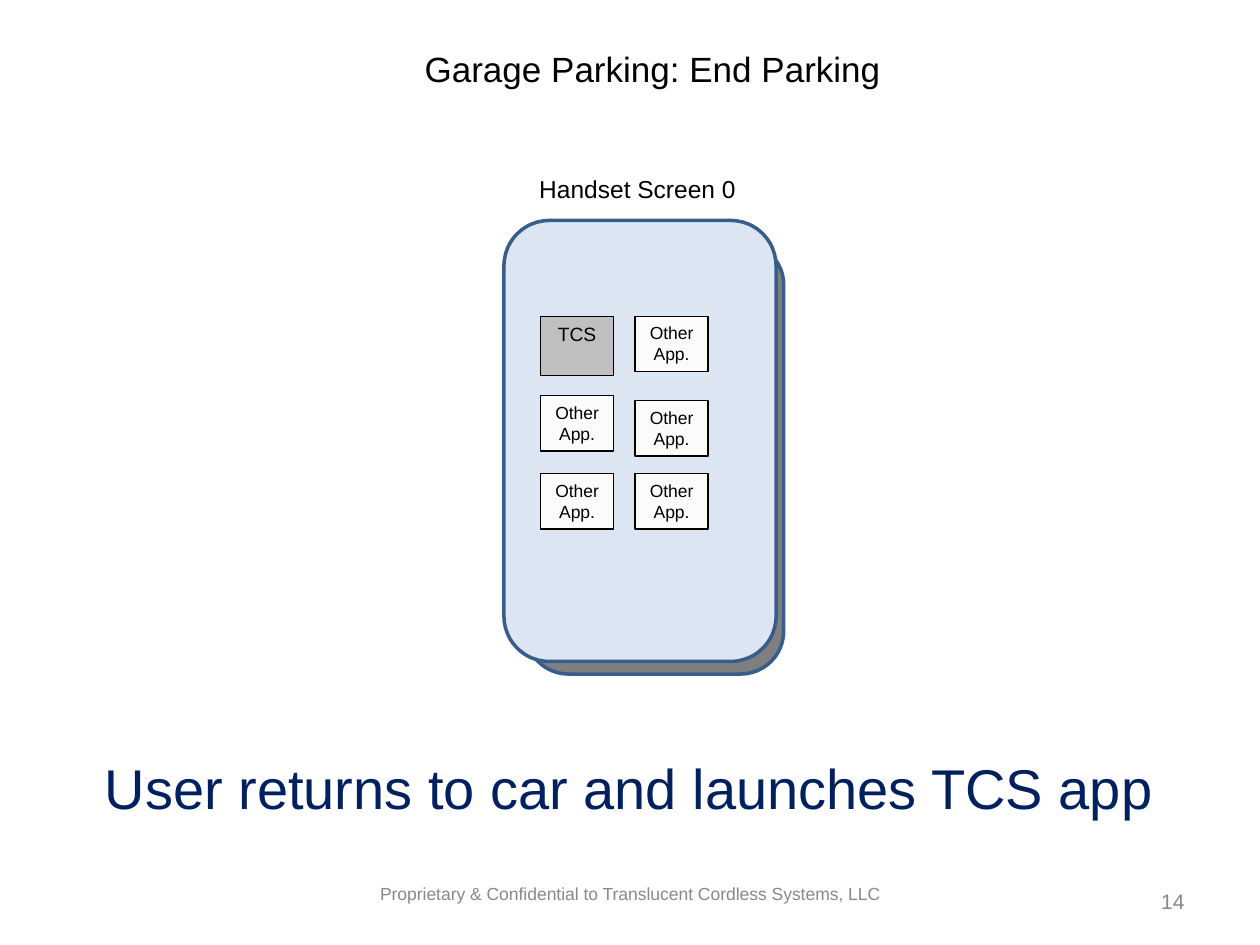
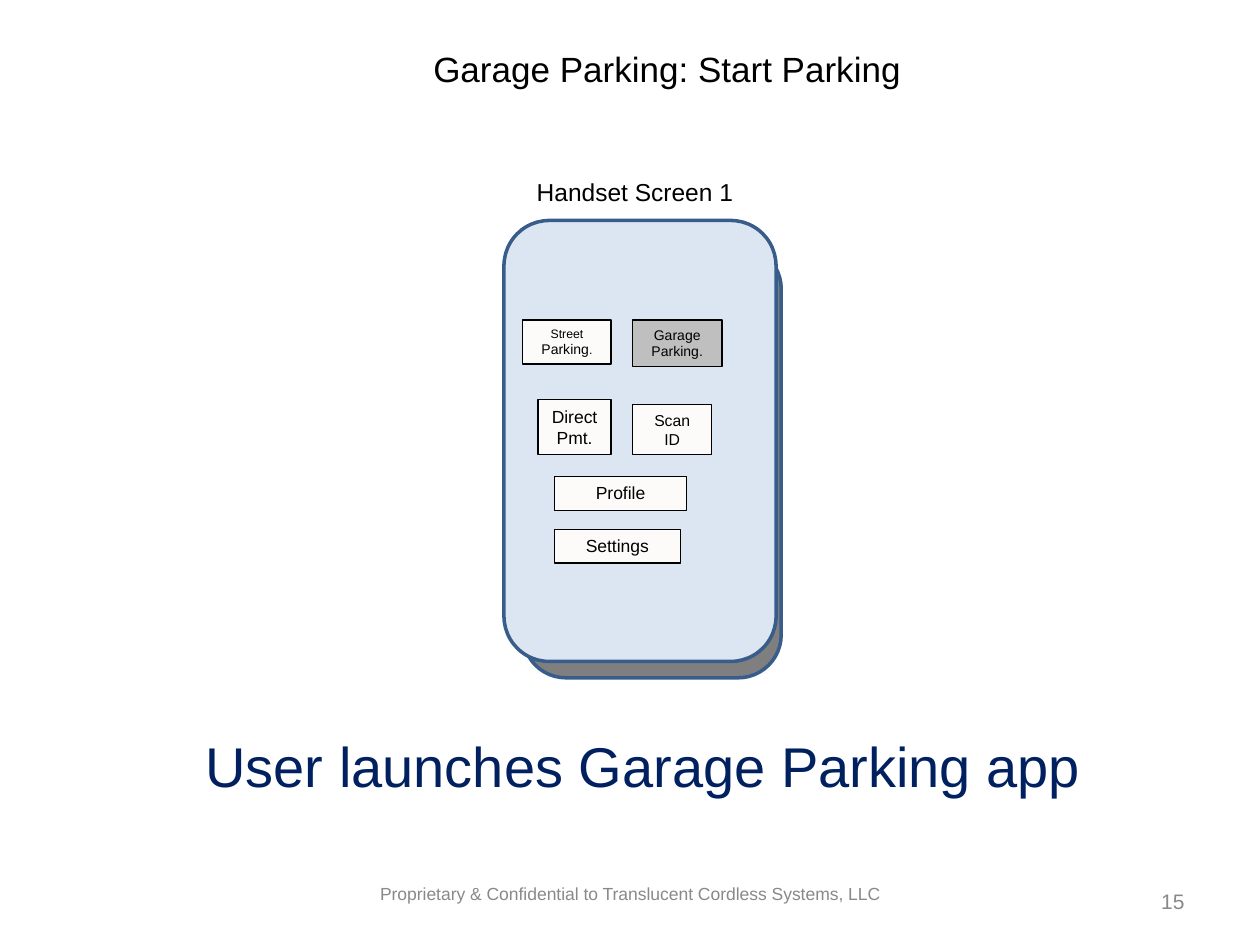
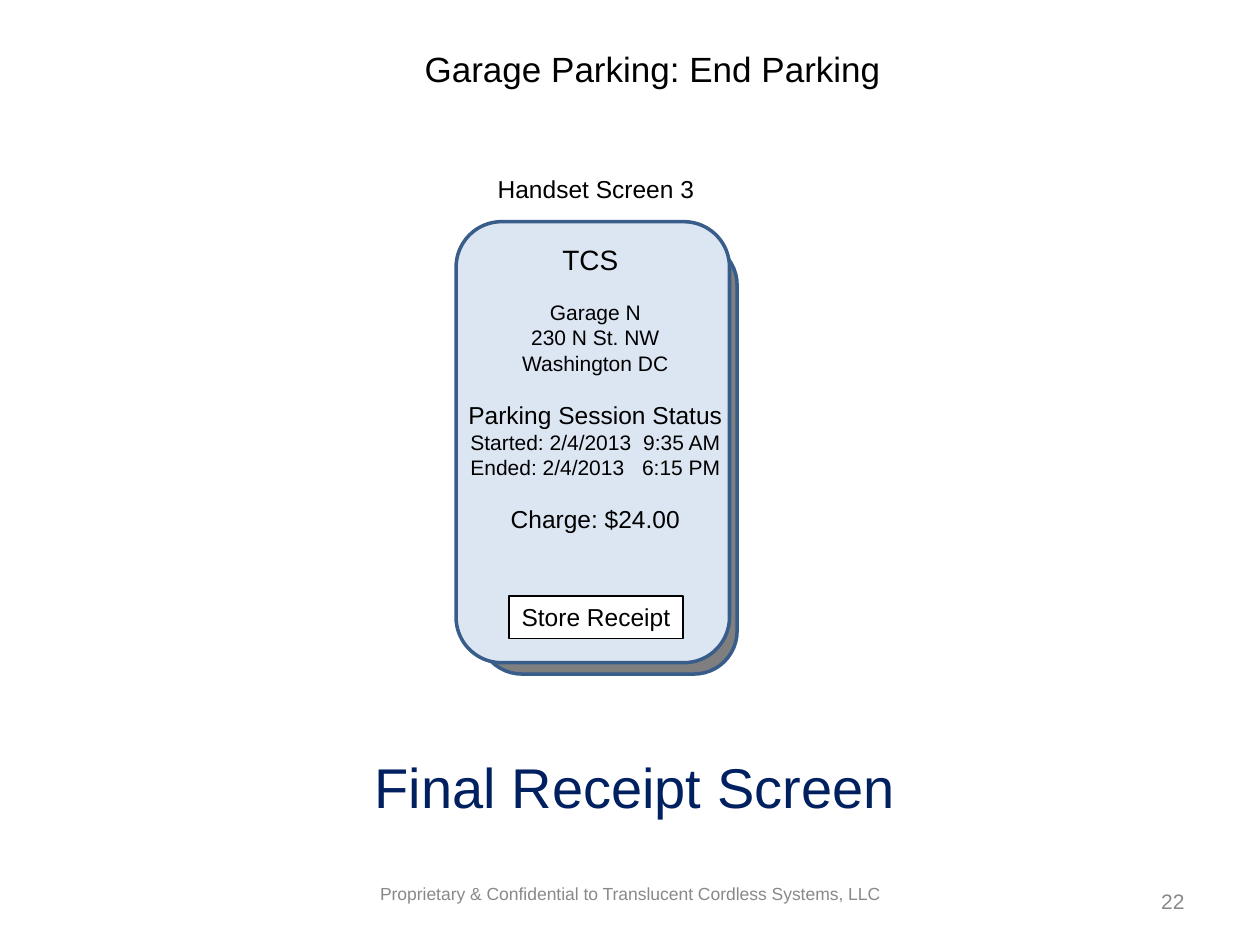
from dataclasses import dataclass

from pptx import Presentation
from pptx.dml.color import RGBColor
from pptx.enum.shapes import MSO_SHAPE as Preset
from pptx.enum.text import MSO_ANCHOR as Anchor, PP_ALIGN as Align
from pptx.util import Emu, Inches, Pt

# Shared look; the slide is a grid of 100 columns and 75 square rows
COLUMNS, ROWS = 100, 75
CELL = Inches(10) // COLUMNS
FONT = "Arial"
BLACK, WHITE, GRAY, NAVY = "000000", "FFFFFF", "898989", "002060"
FACE, BACK, OUTLINE = "DCE6F2", "7F7F7F", "385D8A"
BUTTON, SELECTED = "FCFBF9", "BFBFBF"
FOOTER = "Proprietary & Confidential to Translucent Cordless Systems, LLC"


@dataclass
class Box:
    left: float
    top: float
    width: float
    height: float

    def inner(self, left, top, width, height):
        """A box whose corner is measured from the corner of this one."""
        return Box(self.left + left, self.top + top, width, height)

    def lengths(self):
        return [Emu(round(n * CELL)) for n in (self.left, self.top, self.width, self.height)]


def color(value):
    return RGBColor.from_string(value)


def add_run(paragraph, text, size, ink=BLACK):
    run = paragraph.add_run()
    run.text = text
    run.font.name = FONT
    run.font.size = Pt(size)
    run.font.color.rgb = color(ink)
    return run


def add_wide_space(paragraph, size, extra):
    """One space, widened by extra points of character spacing."""
    run = add_run(paragraph, " ", size)
    run._r.get_or_add_rPr().set("spc", str(round(extra * 100)))


def set_text(shape, runs, ink=BLACK, align=Align.CENTER, anchor=Anchor.TOP, wrap=False):
    frame = shape.text_frame
    frame.word_wrap = wrap
    frame.vertical_anchor = anchor
    paragraph = frame.paragraphs[0]
    paragraph.alignment = align
    for text, size in runs:
        add_run(paragraph, text, size, ink)


def add_text(slide, box, text, size, **style):
    shape = slide.shapes.add_textbox(*box.lengths())
    set_text(shape, [(text, size)], **style)


def add_panel(slide, preset, box, fill, line, weight):
    shape = slide.shapes.add_shape(preset, *box.lengths())
    shape.shadow.inherit = False
    shape.fill.solid()
    shape.fill.fore_color.rgb = color(fill)
    shape.line.color.rgb = color(line)
    shape.line.width = Pt(weight)
    return shape


def add_button(slide, box, runs, fill=BUTTON, wrap=True):
    shape = add_panel(slide, Preset.RECTANGLE, box, fill, BLACK, 0.75)
    set_text(shape, runs, wrap=wrap)


def add_handset(slide, face, back_offset, label, label_offset):
    """Handset with its thick back, and the label above it."""
    for box, fill in ((face.inner(*back_offset, 20.5, 34.3), BACK), (face, FACE)):
        add_panel(slide, Preset.ROUNDED_RECTANGLE, box, fill, OUTLINE, 2)
    add_text(slide, face.inner(*label_offset, 17.6, 3.4), label, 14)


def add_frame(presentation, title, title_box, caption, caption_box, number):
    """New slide with title, caption, footer and slide number."""
    slide = presentation.slides.add_slide(presentation.slide_layouts[5])
    heading = slide.shapes.title
    heading.left, heading.top, heading.width, heading.height = title_box.lengths()
    set_text(heading, [(title, 20)], wrap=True)
    add_text(slide, caption_box, caption, 32, ink=NAVY, anchor=Anchor.MIDDLE)
    add_text(slide, Box(20, 68.3, 60, 5.2), FOOTER, 10, ink=GRAY, anchor=Anchor.MIDDLE)
    add_text(slide, Box(71.7, 69.5, 23.3, 4), number, 12, ink=GRAY,
             align=Align.RIGHT, anchor=Anchor.MIDDLE, wrap=True)
    return slide


def add_app_grid(slide, face):
    """Two columns of app buttons, the first one selected."""
    left, right = 2.9, 10.4
    add_button(slide, face.inner(left, 7.6, 5.8, 4.7), [("TCS", 11)], SELECTED)
    for column, row in ((right, 7.6), (left, 13.9), (right, 14.3), (left, 20.1), (right, 20.1)):
        add_button(slide, face.inner(column, row, 5.8, 4.4), [("Other App.", 10)])


def add_menu(slide, face):
    """Menu buttons of the parking app."""
    street = [("Street ", 7), ("Parking", 8), (".", 7)]
    for place, runs, fill in (
        ((1.5, 7.9, 7, 3.5), street, BUTTON),
        ((10.2, 7.9, 7.1, 3.7), [("Garage Parking.", 8)], SELECTED),
        ((2.7, 14.2, 5.8, 4.4), [("Direct Pmt.", 10)], BUTTON),
        ((10.2, 14.6, 6.3, 4), [("Scan ID", 9)], BUTTON),
        ((4, 20.3, 10.5, 2.7), [("Profile", 10)], BUTTON),
        ((4, 24.5, 10, 2.7), [("Settings", 10)], BUTTON),
    ):
        add_button(slide, face.inner(*place), runs, fill)


def add_receipt(slide, face):
    """Parking receipt: heading, session details and the store button."""
    add_text(slide, face.inner(7.2, 1.2, 6.9, 3.7), "TCS", 16)
    details = slide.shapes.add_textbox(*face.inner(-0.3, 5.7, 22.7, 22).lengths())
    frame = details.text_frame
    frame.word_wrap = False
    # Words, size, space before, then the time and the extra gap ahead of it
    lines = (
        ("Garage N", 12, 0, "", 0),
        ("230 N St. NW", 12, 0, "", 0),
        ("Washington DC", 12, 0, "", 0),
        ("Parking Session Status", 14, 14, "", 0),
        ("Started: 2/4/2013", 12, 0, "9:35 AM", 3.33),
        ("Ended: 2/4/2013", 12, 0, "6:15 PM", 6.67),
        ("Charge: $24.00", 14, 14, "", 0),
    )
    for index, (text, size, space, time, gap) in enumerate(lines):
        paragraph = frame.add_paragraph() if index else frame.paragraphs[0]
        paragraph.alignment = Align.CENTER
        if space:
            paragraph.space_before = Pt(space)
        add_run(paragraph, text, size)
        if time:
            add_wide_space(paragraph, size, gap)
            add_run(paragraph, time, size)
    add_button(slide, face.inner(4.2, 29.7, 13.8, 3.4), [("Store Receipt", 14)], WHITE, wrap=False)


def main():
    presentation = Presentation()
    presentation.slide_width = Emu(COLUMNS * CELL)
    presentation.slide_height = Emu(ROWS * CELL)
    face = Box(40, 17.5, 21.6, 35)
    end_title = ("Garage Parking: End Parking", Box(29.7, 3.3, 44.2, 4.4))

    # Home screen
    slide = add_frame(presentation, *end_title, "User returns to car and launches TCS app",
                      Box(3.3, 59.3, 93.3, 6.4), "14")
    add_handset(slide, face, (1.7, 1.7), "Handset Screen 0", (1.8, -4.2))
    add_app_grid(slide, face)

    # App menu
    slide = add_frame(presentation, "Garage Parking: Start Parking", Box(30.4, 3.3, 45.1, 4.4),
                      "User launches Garage Parking app", Box(15.3, 57.5, 71.5, 6.4), "15")
    add_handset(slide, face, (1.5, 2), "Handset Screen 1", (1.6, -3.9))
    add_menu(slide, face)

    # Receipt
    slide = add_frame(presentation, *end_title, "Final Receipt Screen",
                      Box(12.5, 59.2, 75.8, 6.4), "22")
    face = Box(36.2, 17.6, 21.7, 35)
    add_handset(slide, face, (1.8, 1.6), "Handset Screen 3", (2.3, -4.3))
    add_receipt(slide, face)

    presentation.save("out.pptx")


if __name__ == "__main__":
    main()
